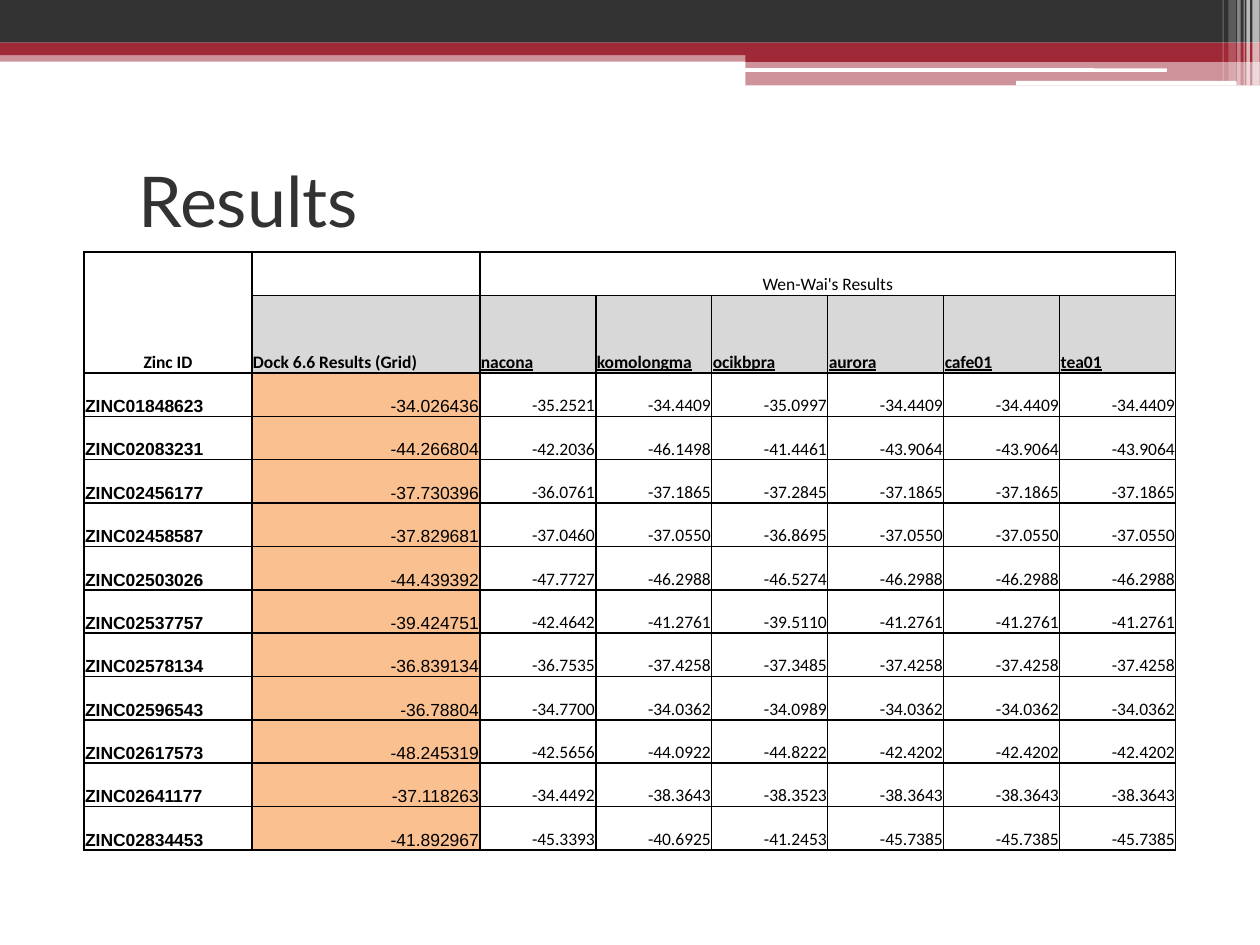
from dataclasses import dataclass

from lxml.etree import SubElement
from pptx import Presentation
from pptx.dml.color import RGBColor
from pptx.enum.shapes import MSO_SHAPE as Preset
from pptx.enum.text import MSO_ANCHOR as Anchor, PP_ALIGN as Align
from pptx.oxml.ns import qn
from pptx.util import Pt


@dataclass(frozen=True)
class Theme:
    dark: str = "323232"
    red: str = "9F2936"
    white: str = "FFFFFF"
    black: str = "000000"
    header: str = "D8D8D8"
    highlight: str = "FAC090"
    title_font: str = "Lato"
    table_font: str = "Calibri"
    data_font: str = "Arial"
    title_size: int = 40
    table_size: int = 10
    border: int = 1


THEME = Theme()
SERVERS = ["nacona", "komolongma", "ocikbpra", "aurora", "cafe01", "tea01"]
SHARED_SERVERS = 3
SCORES = [
    ("ZINC01848623", "-34.026436", "-35.2521", "-34.4409", "-35.0997", "-34.4409"),
    ("ZINC02083231", "-44.266804", "-42.2036", "-46.1498", "-41.4461", "-43.9064"),
    ("ZINC02456177", "-37.730396", "-36.0761", "-37.1865", "-37.2845", "-37.1865"),
    ("ZINC02458587", "-37.829681", "-37.0460", "-37.0550", "-36.8695", "-37.0550"),
    ("ZINC02503026", "-44.439392", "-47.7727", "-46.2988", "-46.5274", "-46.2988"),
    ("ZINC02537757", "-39.424751", "-42.4642", "-41.2761", "-39.5110", "-41.2761"),
    ("ZINC02578134", "-36.839134", "-36.7535", "-37.4258", "-37.3485", "-37.4258"),
    ("ZINC02596543", "-36.78804", "-34.7700", "-34.0362", "-34.0989", "-34.0362"),
    ("ZINC02617573", "-48.245319", "-42.5656", "-44.0922", "-44.8222", "-42.4202"),
    ("ZINC02641177", "-37.118263", "-34.4492", "-38.3643", "-38.3523", "-38.3643"),
    ("ZINC02834453", "-41.892967", "-45.3393", "-40.6925", "-41.2453", "-45.7385"),
]


def apply(target, values):
    for name, value in values.items():
        setattr(target, name, value)


def write(frame, text, align, color, **font):
    para = frame.paragraphs[0]
    para.alignment = align
    span = para.add_run()
    span.text = text
    apply(span.font, font)
    span.font.color.rgb = RGBColor.from_string(color)


def add_bar(page, box, color, opacity=100, preset=Preset.RECTANGLE):
    bar = page.shapes.add_shape(preset, *map(Pt, box))
    bar.shadow.inherit = False
    bar.line.fill.background()
    bar.fill.solid()
    bar.fill.fore_color.rgb = RGBColor.from_string(color)
    if opacity < 100:
        tint = bar.fill._xPr.find(qn("a:solidFill"))[0]
        SubElement(tint, qn("a:alpha"), val=str(opacity * 1000))


def add_banner(page, box):
    left, top, width, height = box
    step = left + 426
    tail = left + width - step
    bands = [
        (left, 28.8, width, 6.5, THEME.red, 50),
        (left, 0, width, 24.4, THEME.dark, 100),
        (left, 24.4, width, 7.2, THEME.red, 100),
        (step, 28.2, tail, 7.2, THEME.red, 100),
        (step, 35.2, tail, height - 35.2, THEME.red, 50),
    ]
    for x, y, w, h, color, opacity in bands:
        add_bar(page, (x, top + y, w, h), color, opacity)
    for x, y, w, h in [(425.6, 39, 241.2, 2), (580.6, 46.2, 126, 2.6)]:
        add_bar(page, (left + x, top + y, w, h), THEME.white,
                preset=Preset.ROUNDED_RECTANGLE)
    stripes = [
        (715.6, 4.2, height, 65), (712.2, 2, height, 65),
        (710.6, 0.7, height, 60), (707, 2, height, 40),
        (702, 4.3, 46.2, 20), (698.6, 0.7, 46.2, 30),
    ]
    for x, w, h, opacity in stripes:
        add_bar(page, (left + x, top, w, h), THEME.white, opacity)


def add_title(page, box, text):
    title = page.shapes.title
    apply(title, dict(zip(("left", "top", "width", "height"), map(Pt, box))))
    apply(title.text_frame, {"word_wrap": True, "vertical_anchor": Anchor.MIDDLE})
    write(title.text_frame, text, Align.LEFT, THEME.dark,
          name=THEME.title_font, size=Pt(THEME.title_size))


def draw_borders(cell):
    props = cell._tc.get_or_add_tcPr()
    for side in ("lnL", "lnR", "lnT", "lnB"):
        line = SubElement(props, qn(f"a:{side}"), w=str(Pt(THEME.border)))
        fill = SubElement(line, qn("a:solidFill"))
        SubElement(fill, qn("a:srgbClr"), val=THEME.black)


def fill_cell(cell, text, align=Align.LEFT, fill=None, **font):
    if fill:
        cell.fill.solid()
        cell.fill.fore_color.rgb = RGBColor.from_string(fill)
    style = {"name": THEME.table_font, "size": Pt(THEME.table_size), "bold": False}
    write(cell.text_frame, text, align, THEME.black, **{**style, **font})


def add_results(page, box):
    row_count, column_count = len(SCORES) + 2, len(SERVERS) + 2
    left, top, width, height = box
    frame = page.shapes.add_table(row_count, column_count, *map(Pt, box))
    table = frame.table
    apply(table, {"first_row": False, "horz_banding": False})

    id_width, grid_width, row_height = 96, 130.2, 24.8
    server_width = (width - id_width - grid_width) / len(SERVERS)
    widths = [id_width, grid_width] + [server_width] * len(SERVERS)
    for column, column_width in zip(table.columns, widths):
        column.width = Pt(column_width)
    for row in table.rows:
        row.height = Pt(row_height)
    table.rows[1].height = Pt(height - row_height * (row_count - 1))

    margins = {f"margin_{side}": Pt(0.6) for side in ("left", "right", "top")}
    for cell in table.iter_cells():
        apply(cell, {**margins, "margin_bottom": 0, "vertical_anchor": Anchor.BOTTOM})
        draw_borders(cell)
        cell.fill.background()

    table.cell(0, 0).merge(table.cell(1, 0))
    table.cell(0, 2).merge(table.cell(0, column_count - 1))
    fill_cell(table.cell(0, 0), "Zinc ID", Align.CENTER, bold=True)
    fill_cell(table.cell(0, 2), "Wen-Wai's Results", Align.CENTER)
    fill_cell(table.cell(1, 1), "Dock 6.6 Results (Grid)",
              fill=THEME.header, bold=True)
    for column, server in enumerate(SERVERS, 2):
        fill_cell(table.cell(1, column), server,
                  fill=THEME.header, bold=True, underline=True)

    for row, (zinc_id, grid_score, *own, shared) in enumerate(SCORES, 2):
        fill_cell(table.cell(row, 0), zinc_id, name=THEME.data_font, bold=True)
        fill_cell(table.cell(row, 1), grid_score, Align.RIGHT,
                  THEME.highlight, name=THEME.data_font)
        for column, score in enumerate(own + [shared] * SHARED_SERVERS, 2):
            fill_cell(table.cell(row, column), score, Align.RIGHT)


def main():
    deck = Presentation()
    apply(deck, {"slide_width": Pt(720), "slide_height": Pt(540)})
    page = deck.slides.add_slide(deck.slide_layouts[5])
    add_banner(page, (0, 0, 720, 48.8))
    add_title(page, (72, 72, 648, 84), "Results")
    add_results(page, (48, 144, 624, 342))
    deck.save("out.pptx")


if __name__ == "__main__":
    main()
